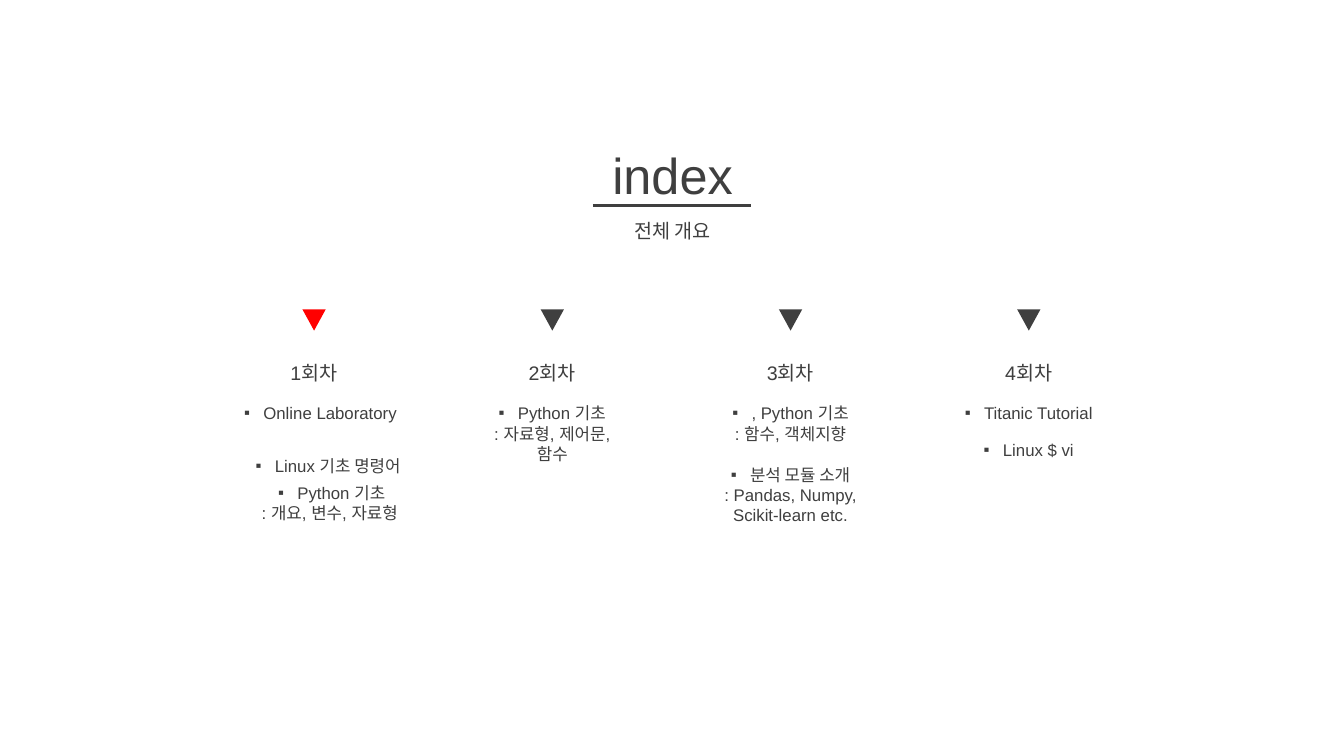
from lxml.etree import SubElement
from pptx import Presentation
from pptx.dml.color import RGBColor
from pptx.enum.shapes import MSO_CONNECTOR as Line, MSO_SHAPE as Shape
from pptx.enum.text import PP_ALIGN as Align
from pptx.oxml.ns import qn
from pptx.util import Inches, Pt

DARK = RGBColor(0x3F, 0x3F, 0x3F)
RED = RGBColor(0xFF, 0x00, 0x00)
FONT = {"name": "Arial", "bold": False}
LEFT, TOP, PITCH, WIDTH = 2.2, 3.07, 2.363, 1.83

# Each topic: x and y offset within its column, width, lines of text
WEEKS = [
    ("1회차", RED, [
        (0, 0.88, 1.96, ["Online Laboratory"]),
        (0.14, 1.4, WIDTH, ["Linux 기초 명령어"]),
        (0.07, 1.67, 2.04, ["Python 기초", ": 개요, 변수, 자료형 "])]),
    ("2회차", DARK, [
        (0, 0.88, WIDTH, ["Python 기초", ": 자료형, 제어문,", "함수"])]),
    ("3회차", DARK, [
        (0, 0.88, WIDTH, [", Python 기초", ": 함수, 객체지향"]),
        (0, 1.49, WIDTH, ["분석 모듈 소개", ": Pandas, Numpy,", "Scikit-learn etc."])]),
    ("4회차", DARK, [
        (0, 0.88, WIDTH, ["Titanic Tutorial"]),
        (0, 1.24, WIDTH, ["Linux $ vi"])]),
]


def add_bullet(para):
    """Give a paragraph a small square bullet with a hanging indent."""
    props = para._p.get_or_add_pPr()
    props.set("marL", str(Inches(0.19)))
    props.set("indent", str(-Inches(0.19)))
    color = SubElement(SubElement(props, qn("a:buClr")), qn("a:srgbClr"))
    color.set("val", str(DARK))
    SubElement(props, qn("a:buFont")).set("typeface", "Arial")
    SubElement(props, qn("a:buChar")).set("char", "▪")


def add_text(slide, box, lines, size, bullet=False):
    """Place centred lines in a box; a bullet marks the first line."""
    frame = slide.shapes.add_textbox(*map(Inches, box)).text_frame
    frame.word_wrap = True
    for i, line in enumerate(lines):
        para = frame.add_paragraph() if i else frame.paragraphs[0]
        para.alignment = Align.CENTER
        if bullet and i == 0:
            add_bullet(para)
        run = para.add_run()
        run.text = line
        for key, value in {**FONT, "size": Pt(size)}.items():
            setattr(run.font, key, value)
        run.font.color.rgb = DARK


def add_title(slide, x, y, w):
    """Draw the title, its rule and the subtitle in a box of width w."""
    add_text(slide, (x, y, w, 0.71), ["index"], 36)
    ends = (x + 0.52, y + 0.66, x + w - 0.53, y + 0.66)
    rule = slide.shapes.add_connector(Line.STRAIGHT, *map(Inches, ends))
    rule.line.color.rgb = DARK
    rule.line.width = Pt(2.25)
    SubElement(rule._element.spPr, qn("a:effectLst"))
    add_text(slide, (x, y + 0.74, w, 0.34), ["전체 개요"], 14)


def add_week(slide, x, y, week):
    """Draw one column: marker, heading and its topics."""
    name, color, topics = week
    box = map(Inches, (x + 0.8, y, 0.23, 0.21))
    mark = slide.shapes.add_shape(Shape.ISOSCELES_TRIANGLE, *box)
    mark.rotation = 180
    mark.shadow.inherit = False
    mark.fill.solid()
    mark.fill.fore_color.rgb = color
    mark.line.fill.background()
    add_text(slide, (x, y + 0.46, WIDTH, 0.34), [name], 14)
    for dx, dy, w, lines in topics:
        box = (x + dx, y + dy, w, 0.1 + 0.2 * len(lines))
        add_text(slide, box, lines, 12, bullet=True)


def main():
    """Build the slide and save it."""
    deck = Presentation()
    deck.slide_width, deck.slide_height = Inches(13.33), Inches(7.5)
    slide = deck.slides.add_slide(deck.slide_layouts[6])
    add_title(slide, 5.36, 1.38, 2.62)
    for i, week in enumerate(WEEKS):
        add_week(slide, LEFT + i * PITCH, TOP, week)
    deck.save("out.pptx")


main()
